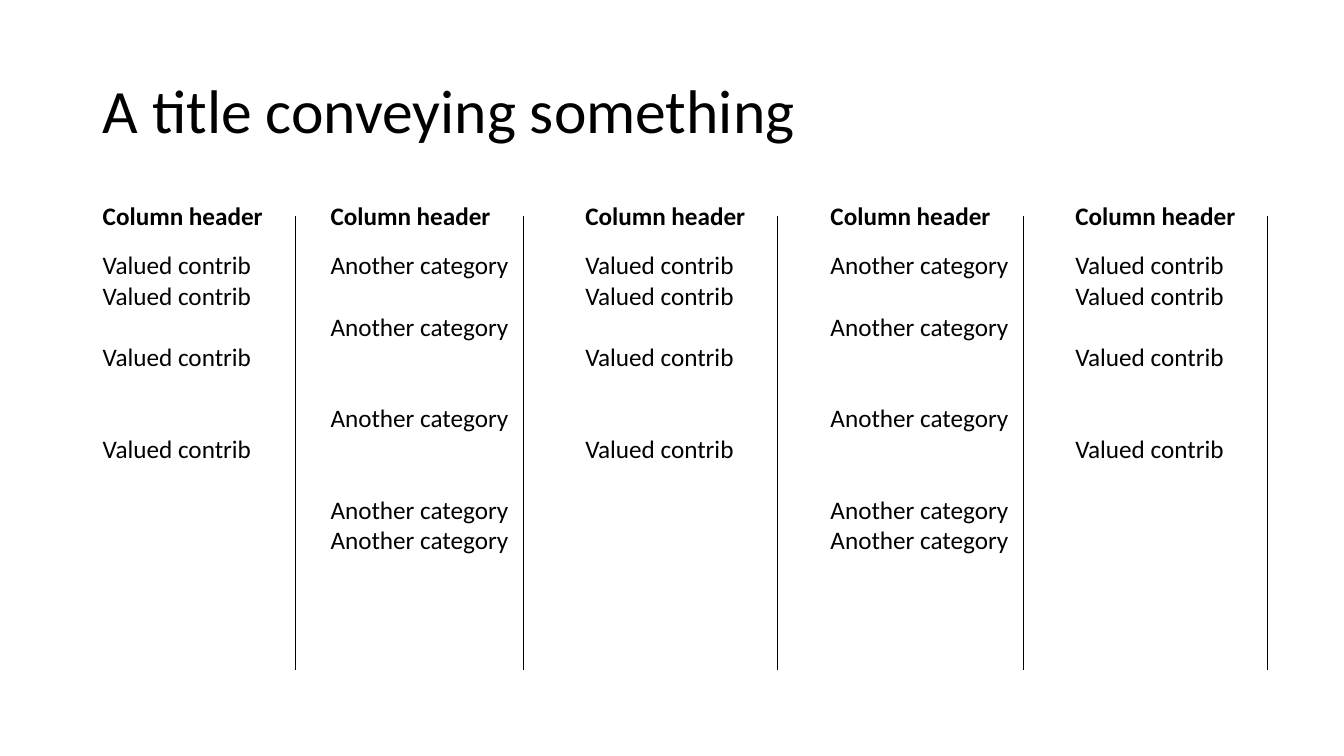
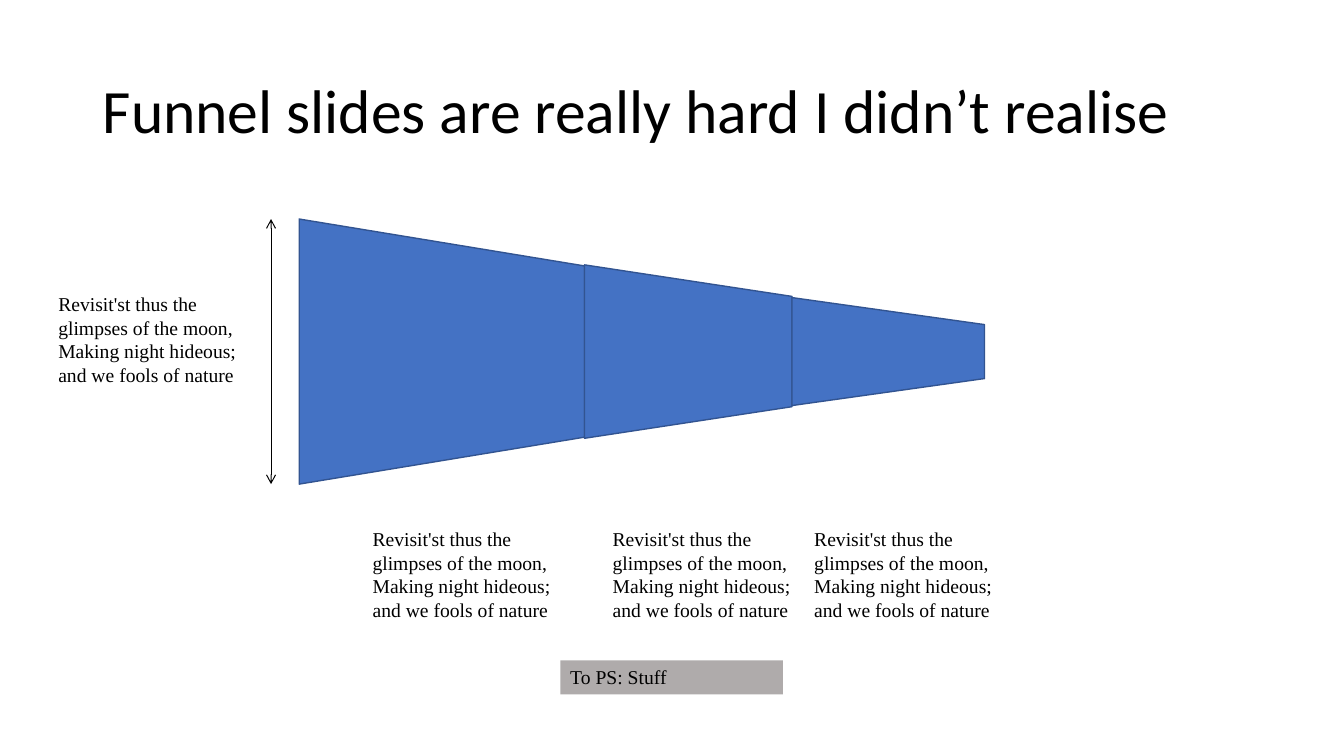
"""Build a five-column slide and a funnel slide."""
from dataclasses import dataclass

from lxml import etree
from pptx import Presentation
from pptx.dml.color import RGBColor
from pptx.enum.shapes import MSO_CONNECTOR, MSO_SHAPE
from pptx.enum.text import MSO_ANCHOR, MSO_AUTO_SIZE, PP_ALIGN
from pptx.oxml.ns import qn
from pptx.shapes.autoshape import Shape
from pptx.slide import Slide
from pptx.util import Cm, Pt

BLACK = RGBColor(0x00, 0x00, 0x00)
FUNNEL_BLUE = RGBColor(0x44, 0x72, 0xC4)
FUNNEL_EDGE = RGBColor(0x32, 0x54, 0x91)
BAND_GREY = RGBColor(0xAF, 0xAB, 0xAB)

STRAIGHT = MSO_CONNECTOR.STRAIGHT
TRAPEZOID = MSO_SHAPE.TRAPEZOID
RECTANGLE = MSO_SHAPE.RECTANGLE
MIDDLE = MSO_ANCHOR.MIDDLE
TOP = MSO_ANCHOR.TOP
LEFT = PP_ALIGN.LEFT
FIT_SHAPE = MSO_AUTO_SIZE.SHAPE_TO_FIT_TEXT
FIXED_SIZE = MSO_AUTO_SIZE.NONE

BODY_LINE = 22
COLUMN_WIDTH = 5.1
FUNNEL_LEFT = 7.54
FUNNEL_AXIS = 8.86
NOTE_WIDTH = 5.61
NOTE_TEXT = ("Revisit'st thus the glimpses of the moon,\n"
             "Making night hideous; and we fools of nature")


@dataclass(frozen=True)
class Box:
    """Position and size in centimetres."""
    left: float
    top: float
    width: float
    height: float

    def lengths(self) -> tuple[Cm, Cm, Cm, Cm]:
        """Return the box as slide lengths."""
        return Cm(self.left), Cm(self.top), Cm(self.width), Cm(self.height)


@dataclass(frozen=True)
class TextStyle:
    """Font of a text and the way it sits in its frame."""
    font: str
    size: int
    bold: bool = False
    anchor: MSO_ANCHOR = TOP
    autosize: MSO_AUTO_SIZE = FIT_SHAPE
    line_spacing: float = 1.0


@dataclass(frozen=True)
class ColumnKind:
    """Repeated entry, the skipped lines before each one, and the height."""
    entry: str
    skipped_lines: tuple[int, ...]
    height: float


@dataclass(frozen=True)
class FunnelStage:
    """Length along the axis, height of the wide end, and taper."""
    length: float
    height: float
    taper: float


TITLE = TextStyle("Calibri", 44, anchor=MIDDLE, autosize=FIXED_SIZE, line_spacing=0.9)
HEADER = TextStyle("Calibri", 18, bold=True)
BODY = TextStyle("Calibri", 18)
NOTE = TextStyle("Times New Roman", 14)

TITLE_BOX = Box(2.34, 1.02, 29.21, 3.68)
BAND_BOX = Box(14.12, 16.64, NOTE_WIDTH, 0.86)

VALUED = ColumnKind("Valued contrib", (0, 0, 1, 2), 6.4)
ANOTHER = ColumnKind("Another category", (0, 1, 2, 2, 0), 9.5)
COLUMNS = ((2.34, VALUED), (8.08, ANOTHER), (14.5, VALUED),
           (20.68, ANOTHER), (26.85, VALUED))
STAGES = (FunnelStage(7.19, 6.68, 0.177), FunnelStage(5.23, 4.37, 0.182),
          FunnelStage(4.85, 2.72, 0.25))
NOTE_POSITIONS = ((1.22, 7.24), (9.14, 13.16), (15.19, 13.16), (20.27, 13.16))


def write_text(shape: Shape, paragraphs: list[str], style: TextStyle,
               skipped_lines: tuple[int, ...] = (0,)) -> None:
    """Fill a shape with styled paragraphs."""
    frame = shape.text_frame
    frame.word_wrap = True
    frame.auto_size = style.autosize
    frame.vertical_anchor = style.anchor
    for index, (text, skipped) in enumerate(zip(paragraphs, skipped_lines)):
        paragraph = frame.add_paragraph() if index else frame.paragraphs[0]
        paragraph.alignment = LEFT
        paragraph.line_spacing = style.line_spacing
        paragraph.space_before = Pt(skipped * BODY_LINE)
        for line_index, line in enumerate(text.split("\n")):
            if line_index:
                paragraph.add_line_break()
            run = paragraph.add_run()
            run.text = line
            run.font.name = style.font
            run.font.size = Pt(style.size)
            run.font.bold = style.bold
            run.font.color.rgb = BLACK


def add_text(slide: Slide, box: Box, paragraphs: list[str], style: TextStyle,
             skipped_lines: tuple[int, ...] = (0,)) -> None:
    """Add a text box."""
    shape = slide.shapes.add_textbox(*box.lengths())
    write_text(shape, paragraphs, style, skipped_lines)


def add_vertical_line(slide: Slide, x: float, top: float, bottom: float,
                      width: float, arrows: bool = False) -> None:
    """Add a vertical line, with arrowheads at both ends if asked."""
    connector = slide.shapes.add_connector(STRAIGHT, Cm(x), Cm(top), Cm(x), Cm(bottom))
    connector.line.color.rgb = BLACK
    connector.line.width = Pt(width)
    properties = connector._element.spPr
    if arrows:
        for end in ("a:headEnd", "a:tailEnd"):
            etree.SubElement(properties.find(qn("a:ln")), qn(end), type="arrow")
    etree.SubElement(properties, qn("a:effectLst"))


def add_plain_shape(slide: Slide, kind: MSO_SHAPE, box: Box, fill: RGBColor) -> Shape:
    """Add a filled shape with neither shadow nor outline."""
    shape = slide.shapes.add_shape(kind, *box.lengths())
    shape.shadow.inherit = False
    shape.fill.solid()
    shape.fill.fore_color.rgb = fill
    shape.line.fill.background()
    return shape


def add_stage(slide: Slide, left: float, stage: FunnelStage) -> None:
    """Add a funnel stage as a trapezoid narrowing to the right."""
    box = Box(left + (stage.length - stage.height) / 2,
              FUNNEL_AXIS - stage.length / 2, stage.height, stage.length)
    shape = add_plain_shape(slide, TRAPEZOID, box, FUNNEL_BLUE)
    shape.rotation = 90
    shape.adjustments[0] = stage.taper
    shape.line.color.rgb = FUNNEL_EDGE
    shape.line.width = Pt(1)


def add_column(slide: Slide, left: float, kind: ColumnKind) -> None:
    """Add a header, its entries and the line on their right."""
    add_text(slide, Box(left, 4.93, COLUMN_WIDTH, 1.02), ["Column header"], HEADER)
    add_vertical_line(slide, left + COLUMN_WIDTH, 5.44, 16.89, 0.5)
    add_text(slide, Box(left, 6.17, COLUMN_WIDTH, kind.height),
             [kind.entry] * len(kind.skipped_lines), BODY, kind.skipped_lines)


def add_titled_slide(presentation: Presentation, title: str) -> Slide:
    """Add a blank slide with a title."""
    slide = presentation.slides.add_slide(presentation.slide_layouts[6])
    add_text(slide, TITLE_BOX, [title], TITLE)
    return slide


def build_columns_slide(presentation: Presentation) -> None:
    """Build the slide with five columns."""
    slide = add_titled_slide(presentation, "A title conveying something")
    for left, kind in COLUMNS:
        add_column(slide, left, kind)


def build_funnel_slide(presentation: Presentation) -> None:
    """Build the slide with the funnel and its notes."""
    slide = add_titled_slide(presentation, "Funnel slides are really hard I didn’t realise")
    left = FUNNEL_LEFT
    for stage in STAGES:
        add_stage(slide, left, stage)
        left += stage.length
    for note_left, note_top in NOTE_POSITIONS:
        add_text(slide, Box(note_left, note_top, NOTE_WIDTH, 2.64), [NOTE_TEXT], NOTE)
    half_height = STAGES[0].height / 2
    add_vertical_line(slide, 6.83, FUNNEL_AXIS - half_height,
                      FUNNEL_AXIS + half_height, 0.75, arrows=True)
    band = add_plain_shape(slide, RECTANGLE, BAND_BOX, BAND_GREY)
    write_text(band, ["To PS: Stuff"], NOTE)


def main() -> None:
    """Build and save the presentation."""
    presentation = Presentation()
    presentation.slide_width = Cm(33.87)
    presentation.slide_height = Cm(19.05)
    build_columns_slide(presentation)
    build_funnel_slide(presentation)
    presentation.save("out.pptx")


if __name__ == "__main__":
    main()
